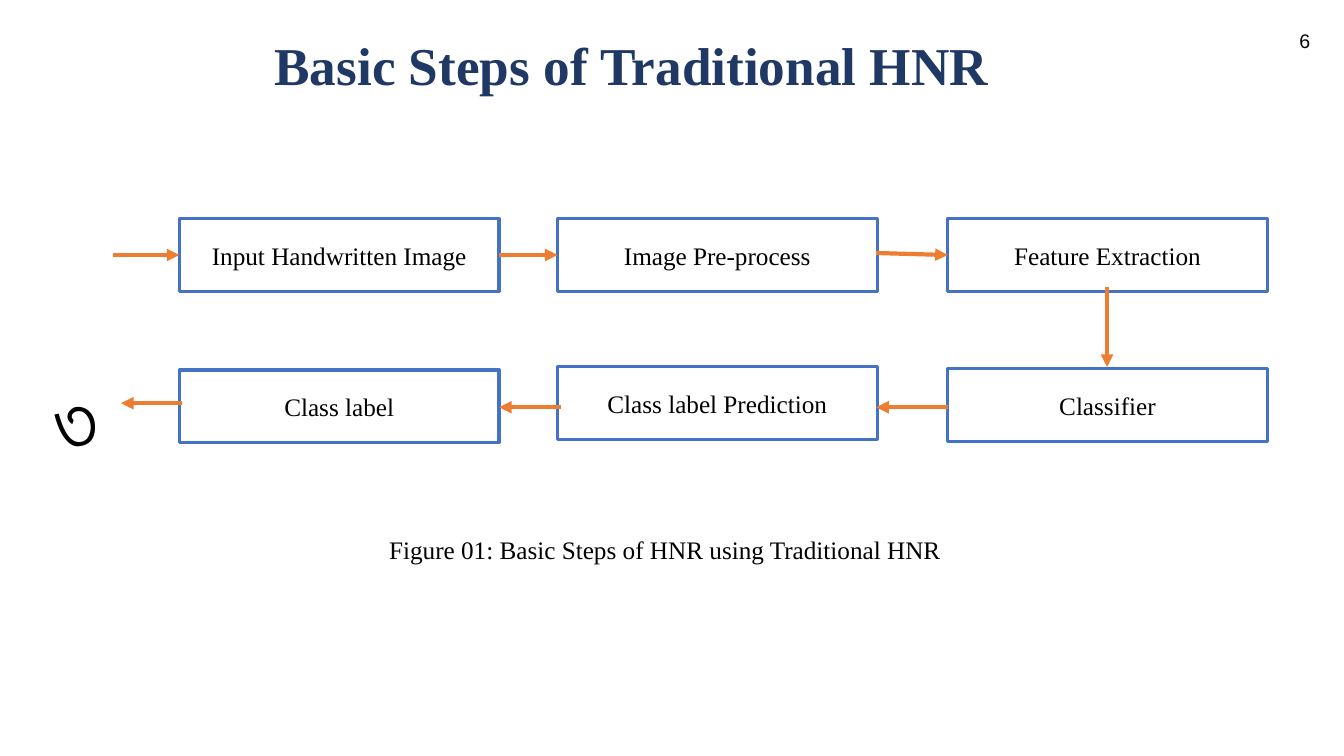
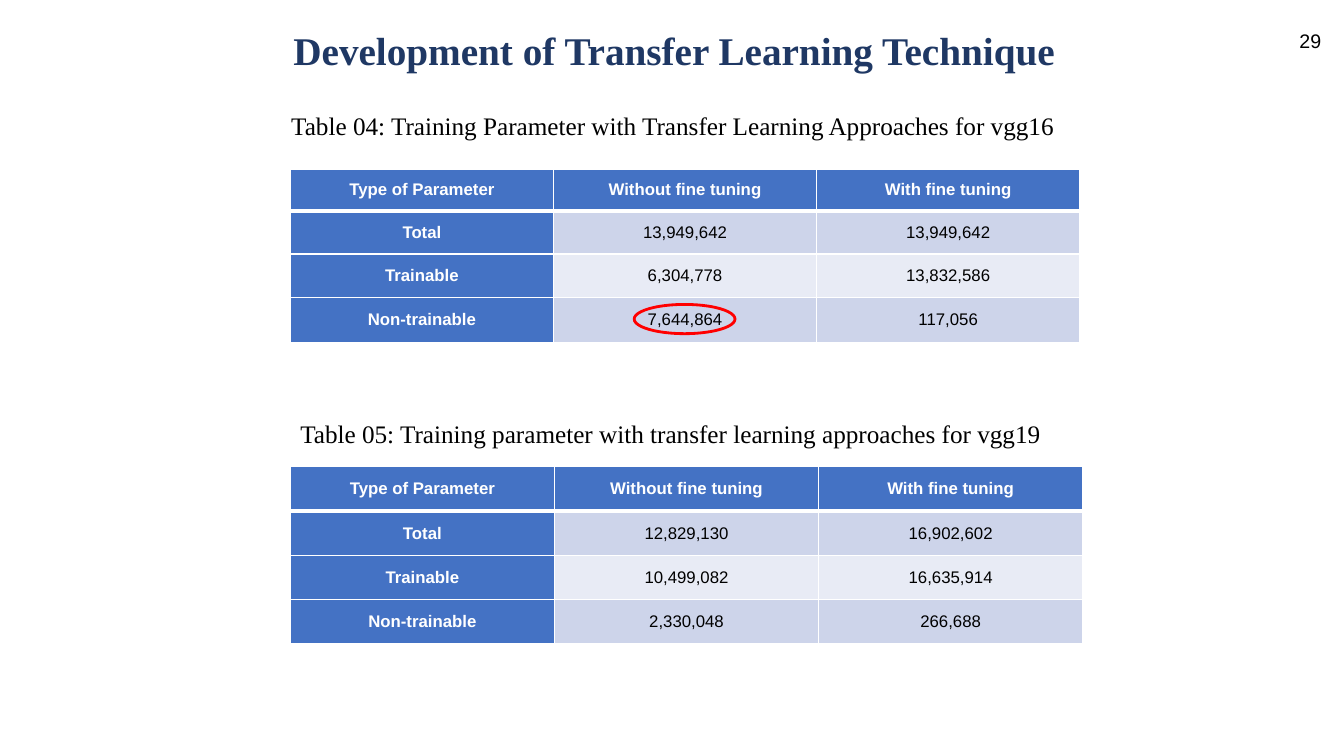
import pptx
import pptx.util
import pptx.dml.color
import pptx.enum.shapes
import pptx.enum.text
import pptx.oxml.ns
import lxml.etree

PX = 9144
COLORS = {
    "navy": "1F3864", "blue": "4472C4", "orange": "ED7D31", "red": "FF0000",
    "black": "000000", "white": "FFFFFF", "band": "CDD4EA", "pale": "E8EBF5",
}
SERIF = "Times New Roman"
STYLES = {
    "title": ("navy", {"size": 38, "name": SERIF, "bold": True}),
    "subtitle": ("navy", {"size": 28, "name": SERIF, "bold": True}),
    "label": ("black", {"size": 18, "name": SERIF, "bold": False}),
    "digit": ("black", {"size": 60, "name": "Calibri", "bold": False}),
    "number": ("black", {"size": 14, "name": "Arial", "bold": False}),
    "head": ("white", {"size": 12, "name": "Arial", "bold": True}),
    "value": ("black", {"size": 12, "name": "Arial", "bold": False}),
}
ALIGN = pptx.enum.text.PP_ALIGN
ANCHOR = pptx.enum.text.MSO_ANCHOR
SHAPE = pptx.enum.shapes.MSO_SHAPE


def px(*values):
    return [pptx.util.Emu(v * PX) for v in values]


def rgb(color):
    return pptx.dml.color.RGBColor.from_string(COLORS[color])


def set_all(obj, values):
    for name, value in values.items():
        setattr(obj, name, value)


def write(tf, text, style, align=ALIGN.LEFT, spacing=1.0):
    p = tf.paragraphs[0]
    set_all(p, {"alignment": align, "line_spacing": spacing})
    r = p.add_run()
    r.text = text
    color, font = STYLES[style]
    set_all(r.font, {**font, "size": pptx.util.Pt(font["size"])})
    r.font.color.rgb = rgb(color)


def outline(sp, color, width):
    sp.line.color.rgb = rgb(color)
    sp.line.width = pptx.util.Pt(width)


def add_text(s, box, text, style, **layout):
    sp = s.shapes.add_textbox(*px(*box))
    sp.text_frame.word_wrap = True
    write(sp.text_frame, text, style, **layout)


def add_shape(s, kind, box, color, width, fill=None):
    sp = s.shapes.add_shape(kind, *px(*box))
    sp.shadow.inherit = False
    if fill:
        sp.fill.solid()
        sp.fill.fore_color.rgb = rgb(fill)
    else:
        sp.fill.background()
    outline(sp, color, width)
    return sp


def add_arrow(s, x1, y1, x2, y2):
    kind = pptx.enum.shapes.MSO_CONNECTOR.STRAIGHT
    sp = s.shapes.add_connector(kind, *px(x1, y1, x2, y2))
    outline(sp, "orange", 3)
    qn = pptx.oxml.ns.qn
    lxml.etree.SubElement(sp.line._get_or_add_ln(), qn("a:tailEnd"), type="triangle")
    lxml.etree.SubElement(sp._element.spPr, qn("a:effectLst"))


def new_slide(prs, number, title, box, style, **layout):
    s = prs.slides.add_slide(prs.slide_layouts[5])
    sp = s.shapes.title
    set_all(sp, dict(zip(("left", "top", "width", "height"), px(*box))))
    tf = sp.text_frame
    set_all(tf, {"word_wrap": True, "vertical_anchor": ANCHOR.TOP,
                 "auto_size": pptx.enum.text.MSO_AUTO_SIZE.NONE,
                 "margin_top": px(layout.pop("inset"))[0]})
    write(tf, title, style, **layout)
    add_text(s, (1279, 24, 54, 34), number, "number")
    return s


def add_flow(s, x, y):
    columns = (0, 375, 762)
    steps = (
        ("Input Handwritten Image", 0, 0), ("Image Pre-process", 1, 0),
        ("Feature Extraction", 2, 0), ("Classifier", 2, 149),
        ("Class label Prediction", 1, 147), ("Class label", 0, 150),
    )
    arrows = (
        (-66, 36, 0, 36), (317, 36, 375, 36), (691, 34, 762, 36),
        (920, 68, 920, 147), (762, 187, 691, 187), (378, 187, 317, 187),
        (3, 183, -58, 183),
    )
    for text, column, dy in steps:
        box = (x + columns[column], y + dy, 317, 72)
        sp = add_shape(s, SHAPE.RECTANGLE, box, "blue", 2.25, "white")
        sp.text_frame.vertical_anchor = ANCHOR.MIDDLE
        write(sp.text_frame, text, "label", ALIGN.CENTER)
    for x1, y1, x2, y2 in arrows:
        add_arrow(s, x + x1, y + y1, x + x2, y + y2)
    add_text(s, (x - 135, y + 142, 84, 69), "৩", "digit")


def add_border(cell, side, width):
    qn = pptx.oxml.ns.qn
    ln = lxml.etree.SubElement(cell._tc.get_or_add_tcPr(), qn("a:ln" + side),
                               w=str(pptx.util.Pt(width)))
    fill = lxml.etree.SubElement(ln, qn("a:solidFill"))
    lxml.etree.SubElement(fill, qn("a:srgbClr"), val=COLORS["white"])


def format_cell(cell, text, row, col):
    side, flat = px(7, 0)
    set_all(cell, {"margin_left": side, "margin_right": side, "margin_top": flat,
                   "margin_bottom": flat, "vertical_anchor": ANCHOR.MIDDLE})
    widths = {"L": 1, "R": 1, "T": 3 if row == 1 else 1, "B": 3 if row == 0 else 1}
    for edge, width in widths.items():
        add_border(cell, edge, width)
    head = row == 0 or col == 0
    cell.fill.solid()
    cell.fill.fore_color.rgb = rgb("blue" if head else "band" if row % 2 else "pale")
    write(cell.text_frame, text, "head" if head else "value", ALIGN.CENTER)


def add_parameters(s, x, y, col_width, heights, values):
    header = ("Type of Parameter", "Without fine tuning", "With fine tuning")
    names = ("Total", "Trainable", "Non-trainable")
    rows = [header] + [(name, *pair) for name, pair in zip(names, values)]
    box = px(x, y, col_width * len(header), sum(heights))
    table = s.shapes.add_table(len(rows), len(header), *box).table
    for column in table.columns:
        column.width = px(col_width)[0]
    for i, (texts, height) in enumerate(zip(rows, heights)):
        table.rows[i].height = px(height)[0]
        for j, text in enumerate(texts):
            format_cell(table.cell(i, j), text, i, j)


def steps_slide(prs):
    s = new_slide(prs, "6", "Basic Steps of Traditional HNR", (-29, 16, 1311, 83),
                  "title", inset=10, align=ALIGN.CENTER, spacing=1.1)
    add_flow(s, 178, 217)
    add_text(s, (350, 522, 619, 60), "Figure 01: Basic Steps of HNR using Traditional HNR",
             "label", align=ALIGN.CENTER, spacing=1.1)


def tables_slide(prs):
    s = new_slide(prs, "29", "Development of Transfer Learning Technique",
                  (281, 21, 792, 60), "subtitle", inset=5)
    add_text(s, (279, 105, 783, 40),
             "Table 04: Training Parameter with Transfer Learning Approaches for vgg16", "label")
    add_parameters(s, 288, 168, 261, (41, 43, 43, 45), (
        ("13,949,642", "13,949,642"), ("6,304,778", "13,832,586"), ("7,644,864", "117,056")))
    add_shape(s, SHAPE.OVAL, (629, 302, 100, 29), "red", 2)
    add_text(s, (288, 410, 766, 40),
             "Table 05: Training parameter with transfer learning approaches for vgg19", "label")
    add_parameters(s, 288, 463, 262, (44, 44, 44, 44), (
        ("12,829,130", "16,902,602"), ("10,499,082", "16,635,914"), ("2,330,048", "266,688")))


def main():
    prs = pptx.Presentation()
    prs.slide_width, prs.slide_height = px(1333, 750)
    steps_slide(prs)
    tables_slide(prs)
    prs.save("out.pptx")


if __name__ == "__main__":
    main()
